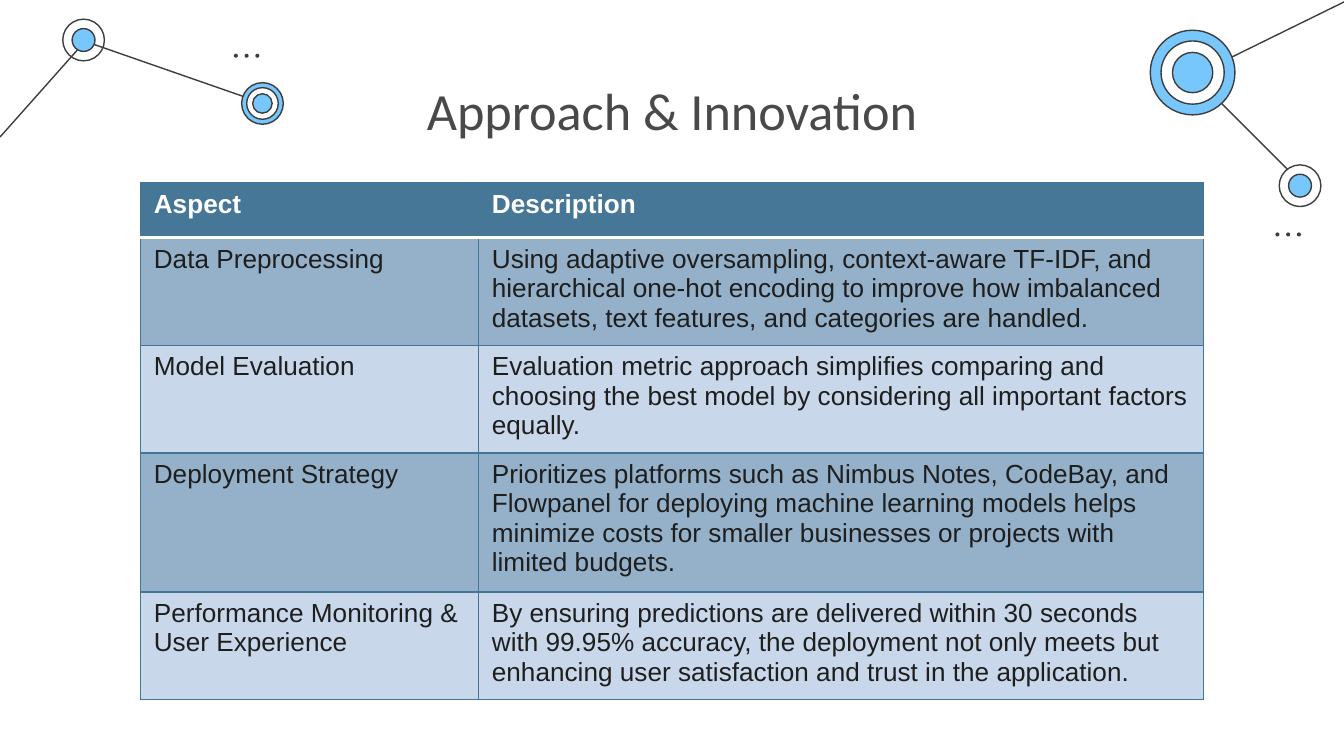
from dataclasses import dataclass

from pptx import Presentation
from pptx.dml.color import RGBColor as RGB
from pptx.enum.shapes import MSO_CONNECTOR as LINK, MSO_SHAPE as SHAPE
from pptx.enum.text import MSO_ANCHOR as ANCHOR, PP_ALIGN as ALIGN
from pptx.oxml.ns import qn
from pptx.util import Inches, Pt
from lxml.etree import SubElement as Sub

WIDE = 10
HIGH = WIDE * 9 / 16
COLS = 100  # square grid cells across the slide


@dataclass(frozen=True)
class Theme:
    ink: str = "3D3D3D"
    blue: str = "77C6FC"
    white: str = "FFFFFF"
    title: str = "494949"
    body: str = "1E1E1E"
    head: str = "477797"
    dark: str = "94B1C9"
    light: str = "C8D8EA"
    edge: str = "437596"
    thin: float = 0.75
    thick: float = 2
    big: int = 28
    small: int = 14
    face: str = "Calibri"
    text: str = "Arial"


class Deck:
    """Draws on one slide; all lengths are counted in grid cells."""

    def __init__(self, theme):
        self.theme = theme
        self.file = Presentation()
        self.file.slide_width, self.file.slide_height = Inches(WIDE), Inches(HIGH)
        self.slide = self.file.slides.add_slide(self.file.slide_layouts[6])
        self.shapes = self.slide.shapes

    def grid(self, *cells):
        unit = self.file.slide_width / COLS
        return [round(cell * unit) for cell in cells]

    def style(self, part, face, size, color, bold=False):
        font = part.font
        font.name, font.size, font.bold = face, Pt(size), bold
        font.color.rgb = RGB.from_string(color)

    def line(self, *ends):
        link = self.shapes.add_connector(LINK.STRAIGHT, *self.grid(*ends))
        link.line.color.rgb = RGB.from_string(self.theme.ink)
        link.line.width = Pt(self.theme.thin)
        Sub(link._element.spPr, qn("a:effectLst"))

    def disc(self, x, y, size, fill, edged=True):
        """Circle centred on x, y; a fill of None leaves it open."""
        box = self.grid(x - size / 2, y - size / 2, size, size)
        disc = self.shapes.add_shape(SHAPE.OVAL, *box)
        disc.shadow.inherit = False
        if fill:
            disc.fill.solid()
            disc.fill.fore_color.rgb = RGB.from_string(fill)
        else:
            disc.fill.background()
        if edged:
            disc.line.color.rgb = RGB.from_string(self.theme.ink)
            disc.line.width = Pt(self.theme.thin)
        else:
            disc.line.fill.background()

    def node(self, x, y, *rings):
        for size, fill in rings:
            self.disc(x, y, size, fill)

    def dots(self, x, y, gap=0.8):
        for i in range(3):
            self.disc(x + i * gap, y, 0.3, self.theme.ink, edged=False)

    def title(self, text, *box):
        frame = self.shapes.add_textbox(*self.grid(*box)).text_frame
        frame.word_wrap = True
        frame.vertical_anchor = ANCHOR.TOP
        frame.margin_top = frame.margin_bottom = Inches(0.1)
        part = frame.paragraphs[0]
        part.text, part.alignment = text, ALIGN.CENTER
        self.style(part, self.theme.face, self.theme.big, self.theme.title)

    def border(self, cell, side, color, width):
        props = cell._tc.get_or_add_tcPr()
        line = Sub(props, qn(f"a:ln{side}"), w=str(Pt(width)))
        Sub(Sub(line, qn("a:solidFill")), qn("a:srgbClr"), val=color)

    def cell(self, cell, text, row):
        look = self.theme
        head = row == 0
        cell.text = text
        self.style(cell.text_frame.paragraphs[0], look.text, look.small,
                   look.white if head else look.body, head)
        for side in "LRTB":
            split = (row, side) in ((0, "B"), (1, "T"))
            pen = (look.white, look.thick) if split else (look.edge, look.thin)
            self.border(cell, side, *pen)
        fill = look.head if head else look.dark if row % 2 else look.light
        cell.fill.solid()
        cell.fill.fore_color.rgb = RGB.from_string(fill)

    def table(self, rows, x, y, wide, high, full):
        """Rows start at their least heights and grow with their text."""
        box = self.grid(x, y, sum(wide), full)
        frame = self.shapes.add_table(len(rows), len(wide), *box)
        table = frame.table
        for col, size in zip(table.columns, self.grid(*wide)):
            col.width = size
        for row, size in zip(table.rows, self.grid(*high)):
            row.height = size
        for r, texts in enumerate(rows):
            for c, text in enumerate(texts):
                self.cell(table.cell(r, c), text, r)
        frame.height = box[-1]


ROWS = [
    ("Aspect", "Description"),
    ("Data Preprocessing",
     "Using adaptive oversampling, context-aware TF-IDF, and hierarchical "
     "one-hot encoding to improve how imbalanced datasets, text features, "
     "and categories are handled."),
    ("Model Evaluation",
     "Evaluation metric approach simplifies comparing and choosing the best "
     "model by considering all important factors equally."),
    ("Deployment Strategy",
     "Prioritizes platforms such as Nimbus Notes, CodeBay, and Flowpanel for "
     "deploying machine learning models helps minimize costs for smaller "
     "businesses or projects with limited budgets."),
    ("Performance Monitoring & User Experience",
     "By ensuring predictions are delivered within 30 seconds with 99.95% "
     "accuracy, the deployment not only meets but enhancing user satisfaction "
     "and trust in the application."),
]


def main():
    look = Theme()
    deck = Deck(look)
    blue, white = look.blue, look.white
    for ends in ((96.7, 13.5, 88.7, 5.5), (6.4, 3.1, 19.6, 7.7),
                 (0, 10.2, 6.4, 3), (100.1, 0.1, 89.1, 5.5)):
        deck.line(*ends)
    deck.node(6.22, 2.98, (3.1, None), (1.7, blue))
    deck.node(19.53, 7.7, (3.1, blue), (2.35, white), (1.45, blue))
    deck.node(88.74, 5.4, (6.3, blue), (4.7, white), (3, blue))
    deck.node(96.73, 13.82, (3.1, white), (1.7, blue))
    deck.dots(17.55, 4.15)
    deck.dots(95.05, 17.45)
    deck.title("Approach & Innovation", 17.15, 4.8, 65.7, 6.5)
    deck.table(ROWS, 10.45, 13.6, (25.15, 53.95), (4.1, 4.3, 4, 4.2, 7.6), 38.4)
    deck.file.save("out.pptx")


if __name__ == "__main__":
    main()
